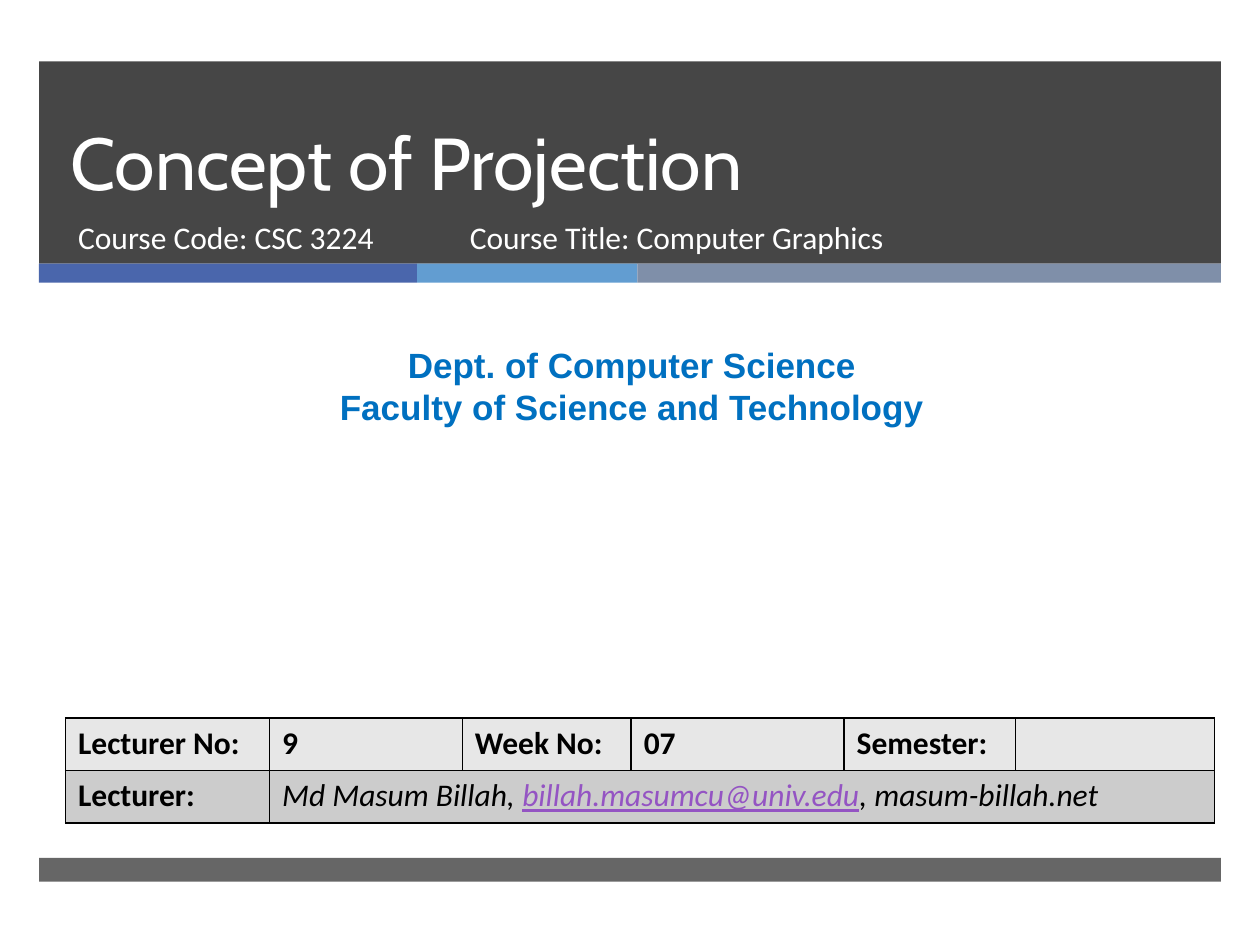
from dataclasses import dataclass

from lxml import etree
from pptx import Presentation
from pptx.dml.color import RGBColor
from pptx.enum import shapes, text
from pptx.oxml import ns
from pptx.util import Emu, Inches, Pt

WHITE = RGBColor(0xFF, 0xFF, 0xFF)
BLACK = RGBColor(0x00, 0x00, 0x00)
CHARCOAL = RGBColor(0x26, 0x26, 0x26)
INDIGO = RGBColor(0x4A, 0x66, 0xAC)
SKY = RGBColor(0x62, 0x9D, 0xD1)
SLATE = RGBColor(0x7F, 0x8F, 0xA9)
DEPT_BLUE = RGBColor(0x00, 0x70, 0xC0)
MAIL_PURPLE = RGBColor(0x94, 0x54, 0xC3)
ROW_FILLS = (RGBColor(0xE7, 0xE7, 0xE7), RGBColor(0xCC, 0xCC, 0xCC))

WIDTH, HEIGHT = Inches(10), Inches(7.5)
MARGIN = 0.031  # share of the slide's width


@dataclass
class Area:
    """A rectangle given as shares of the slide's size."""
    left: float
    top: float
    width: float
    height: float

    def lengths(self) -> tuple[Emu, Emu, Emu, Emu]:
        return (Emu(round(self.left * WIDTH)), Emu(round(self.top * HEIGHT)),
                Emu(round(self.width * WIDTH)), Emu(round(self.height * HEIGHT)))


@dataclass
class Band:
    area: Area
    color: RGBColor
    opacity: int = 100  # per cent


def draw_band(page, band: Band) -> None:
    box = page.shapes.add_shape(shapes.MSO_SHAPE.RECTANGLE, *band.area.lengths())
    box.shadow.inherit = False
    box.line.fill.background()
    box.fill.solid()
    box.fill.fore_color.rgb = band.color
    if band.opacity < 100:
        color = box.fill._xPr.find(".//" + ns.qn("a:srgbClr"))
        etree.SubElement(color, ns.qn("a:alpha"), val=str(band.opacity * 1000))


def add_span(para, words: str, *, size: float = 18, font: str = "Calibri",
             color: RGBColor = BLACK, bold: bool = False,
             italic: bool = False, underline: bool = False) -> None:
    span = para.add_run()
    span.text = words
    span.font.size, span.font.name = Pt(size), font
    span.font.bold, span.font.italic = bold, italic
    span.font.underline = underline
    span.font.color.rgb = color


def write_box(box, area: Area, lines: list[str], *, align=text.PP_ALIGN.LEFT,
              anchor=text.MSO_ANCHOR.TOP, spacing=None, **style) -> None:
    box.left, box.top, box.width, box.height = area.lengths()
    frame = box.text_frame
    frame.word_wrap = True
    frame.auto_size = text.MSO_AUTO_SIZE.NONE
    frame.vertical_anchor = anchor
    for number, line in enumerate(lines):
        para = frame.add_paragraph() if number else frame.paragraphs[0]
        para.alignment = align
        para.space_before = Pt(0)
        if spacing is not None:
            para.line_spacing = spacing
        add_span(para, line, **style)


def format_cell(cell, fill: RGBColor) -> None:
    properties = cell._tc.get_or_add_tcPr()
    for side in ("lnL", "lnR", "lnT", "lnB"):
        line = etree.SubElement(properties, ns.qn("a:" + side), w=str(Pt(1)))
        solid = etree.SubElement(line, ns.qn("a:solidFill"))
        etree.SubElement(solid, ns.qn("a:srgbClr"), val=str(BLACK))
    cell.fill.solid()
    cell.fill.fore_color.rgb = fill


def draw_lecture_table(page, area: Area, columns: list[float]) -> None:
    table = page.shapes.add_table(2, len(columns), *area.lengths()).table
    for column, width in zip(table.columns, columns):
        column.width = Inches(width)
    for row, fill in zip(table.rows, ROW_FILLS):
        for cell in row.cells:
            format_cell(cell, fill)
    table.cell(1, 1).merge(table.cell(1, len(columns) - 1))

    labels = ["Lecturer No:", "9", "Week No:", "07", "Semester:"]
    for number, label in enumerate(labels):
        add_span(table.cell(0, number).text_frame.paragraphs[0], label, bold=True)
    add_span(table.cell(1, 0).text_frame.paragraphs[0], "Lecturer:", bold=True)
    contact = table.cell(1, 1).text_frame.paragraphs[0]
    add_span(contact, "Md Masum Billah, ", italic=True)
    add_span(contact, "billah.masumcu@univ.edu", italic=True,
             color=MAIL_PURPLE, underline=True)
    add_span(contact, ", masum-billah.net", italic=True)


def main() -> None:
    deck = Presentation()
    deck.slide_width, deck.slide_height = WIDTH, HEIGHT
    page = deck.slides.add_slide(deck.slide_layouts[0])
    title, subtitle = page.placeholders

    # Header, accent strip and footer
    full = 1 - 2 * MARGIN
    draw_band(page, Band(Area(MARGIN, 0.065, full, 0.214), CHARCOAL, 85))
    left = MARGIN
    for color, share in ((INDIGO, 0.3), (SKY, 0.175), (SLATE, 0.463)):
        draw_band(page, Band(Area(left, 0.279, share, 0.02), color))
        left += share
    draw_band(page, Band(Area(MARGIN, 0.908, full, 0.025), CHARCOAL, 70))

    # Title and course lines, placed in front of the header
    for holder in (title, subtitle):
        page.shapes._spTree.append(holder._element)
    write_box(title, Area(0.046, 0.065, 0.854, 0.159), ["Concept of Projection"],
              anchor=text.MSO_ANCHOR.BOTTOM, spacing=Pt(46),
              size=42, font="Cabin", color=WHITE)
    write_box(subtitle, Area(0.052, 0.224, 0.305, 0.07),
              ["Course Code: CSC 3224"], color=WHITE)
    course = Area(0.363, 0.224, 0.455, 0.07)
    write_box(page.shapes.add_textbox(*course.lengths()), course,
              ["Course Title: Computer Graphics"], color=WHITE)

    # Department
    department = Area(0.008, 0.357, 0.987, 0.103)
    write_box(page.shapes.add_textbox(*department.lengths()), department,
              ["Dept. of Computer Science", "Faculty of Science and Technology"],
              align=text.PP_ALIGN.CENTER, size=20, font="Arial",
              color=DEPT_BLUE, bold=True)

    # Lecture details
    draw_lecture_table(page, Area(0.052, 0.76, 0.912, 0.111),
                       [1.62, 1.53, 1.34, 1.69, 1.36, 1.58])
    deck.save("out.pptx")


if __name__ == "__main__":
    main()
